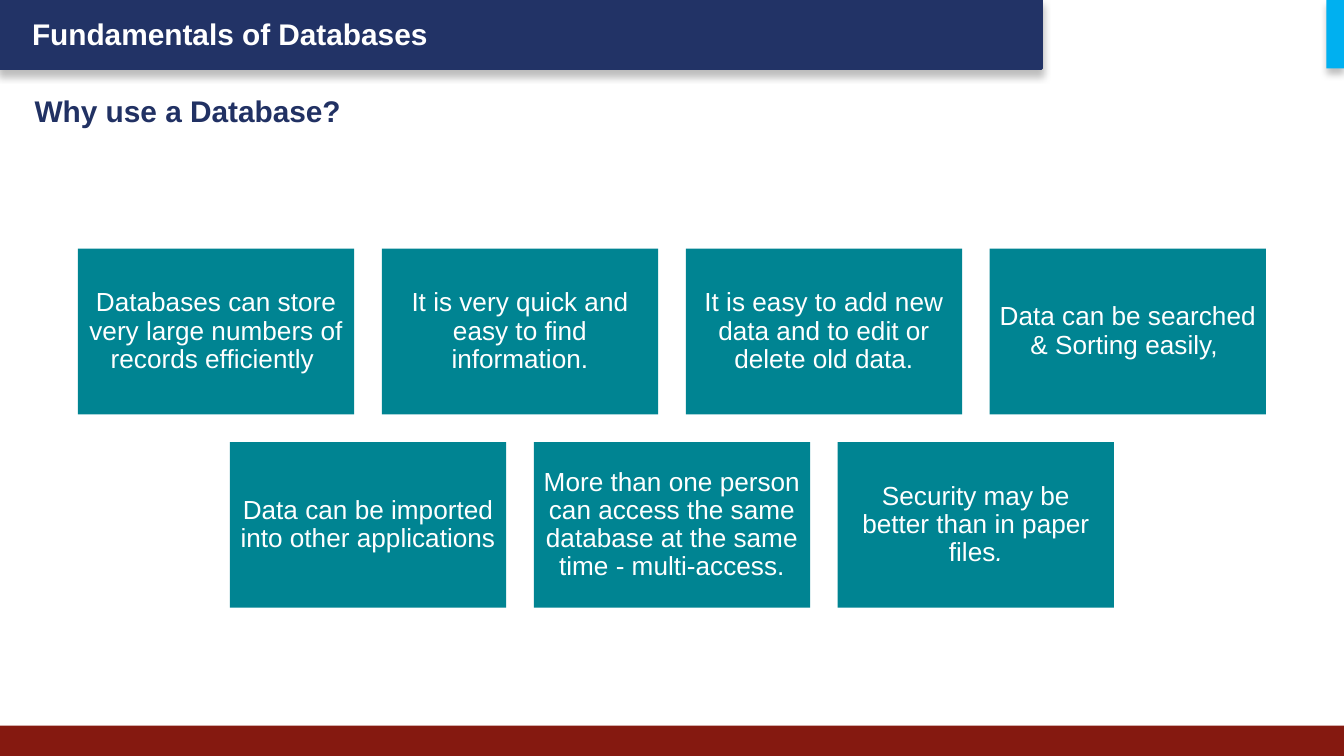
import pptx
import pptx.dml.color
import pptx.enum.shapes
import pptx.enum.text
import pptx.oxml
import pptx.oxml.ns
import pptx.util
from pptx.util import Inches, Pt

SLIDE_WIDTH = 10
SLIDE_HEIGHT = SLIDE_WIDTH * 9 / 16
FONT = "Arial"
NAVY, TITLE_NAVY, SKY, RED, TEAL, WHITE = (
    "223366", "213163", "00B0F0", "851910", "008492", "FFFFFF")

COURSE = "Fundamentals of Databases"
TITLE = "Why use a Database?"

# Each card is a list of (text, italic) spans.
CARD_ROWS = [
    [
        [("Databases can store very large numbers of records efficiently ", False)],
        [("It is very quick and easy to find information.", False)],
        [("It is easy to add new data and to edit or delete old data.", False)],
        [("Data can be searched & Sorting easily, ", False)],
    ],
    [
        [("Data can be imported into other applications", False)],
        [("More than one person can access the same database at the same time"
          " - multi-access.", False)],
        [("Security may be better than in paper files", False), (".", True)],
    ],
]
# Four cards and three gaps of a tenth of a card fill the widest row.
CARD_WIDTH = 8.84 / 4.3
CARD_HEIGHT = CARD_WIDTH * 0.6
CARD_GAP = CARD_WIDTH / 10
CARDS_TOP = 1.85
CARD_INSET = 0.06


def color(value):
    return pptx.dml.color.RGBColor.from_string(value)


def add_rectangle(page, left, top, width, height, fill):
    shape = page.shapes.add_shape(
        pptx.enum.shapes.MSO_SHAPE.RECTANGLE,
        Inches(left), Inches(top), Inches(width), Inches(height))
    shape.shadow.inherit = False
    shape.fill.solid()
    shape.fill.fore_color.rgb = color(fill)
    shape.line.fill.background()
    return shape


def drop_shadow(shape):
    """Add a soft black shadow straight below the shape."""
    effects = shape._element.spPr.find(pptx.oxml.ns.qn("a:effectLst"))
    effects.append(pptx.oxml.parse_xml(
        f'<a:outerShdw {pptx.oxml.ns.nsdecls("a")} blurRad="{Pt(4)}" '
        f'dist="{Pt(3)}" dir="5400000" algn="t" rotWithShape="0">'
        '<a:srgbClr val="000000"><a:alpha val="25000"/></a:srgbClr>'
        '</a:outerShdw>'))


def style_font(font, size, fill, bold=False, italic=False):
    font.name = FONT
    font.size = Pt(size)
    font.color.rgb = color(fill)
    font.bold = bold
    font.italic = italic


def add_heading(page, left, top, width, height, text, fill, wrap):
    box = page.shapes.add_textbox(
        Inches(left), Inches(top), Inches(width), Inches(height))
    box.text_frame.word_wrap = wrap
    box.text_frame.text = text
    style_font(box.text_frame.paragraphs[0].runs[0].font, 16, fill, bold=True)


def add_card(page, left, top, spans):
    card = add_rectangle(page, left, top, CARD_WIDTH, CARD_HEIGHT, TEAL)
    frame = card.text_frame
    frame.word_wrap = True
    frame.vertical_anchor = pptx.enum.text.MSO_ANCHOR.MIDDLE
    frame.margin_left = frame.margin_right = Inches(CARD_INSET)
    frame.margin_top = frame.margin_bottom = Inches(CARD_INSET)
    para = frame.paragraphs[0]
    para.alignment = pptx.enum.text.PP_ALIGN.CENTER
    para.line_spacing = 0.9
    for text, italic in spans:
        span = para.add_run()
        span.text = text
        style_font(span.font, 14, WHITE, italic=italic)


def main():
    deck = pptx.Presentation()
    deck.slide_width = Inches(SLIDE_WIDTH)
    deck.slide_height = Inches(SLIDE_HEIGHT)
    page = deck.slides.add_slide(deck.slide_layouts[6])

    header = add_rectangle(page, 0, 0, 7.75, 0.51, NAVY)
    header.line.color.rgb = color(NAVY)
    header.line.width = Pt(2)
    drop_shadow(header)
    add_rectangle(page, 0, 5.4, SLIDE_WIDTH, SLIDE_HEIGHT - 5.4, RED)
    add_heading(page, 0.14, 0.07, 3.18, 0.37, COURSE, WHITE, wrap=False)
    drop_shadow(add_rectangle(page, 9.87, 0, 0.13, 0.51, SKY))
    add_heading(page, 0.16, 0.64, 4.84, 0.45, TITLE, TITLE_NAVY, wrap=True)

    for row, cards in enumerate(CARD_ROWS):
        row_width = len(cards) * (CARD_WIDTH + CARD_GAP) - CARD_GAP
        row_left = (SLIDE_WIDTH - row_width) / 2
        top = CARDS_TOP + row * (CARD_HEIGHT + CARD_GAP)
        for column, spans in enumerate(cards):
            add_card(page, row_left + column * (CARD_WIDTH + CARD_GAP), top, spans)

    deck.save("out.pptx")


if __name__ == "__main__":
    main()
